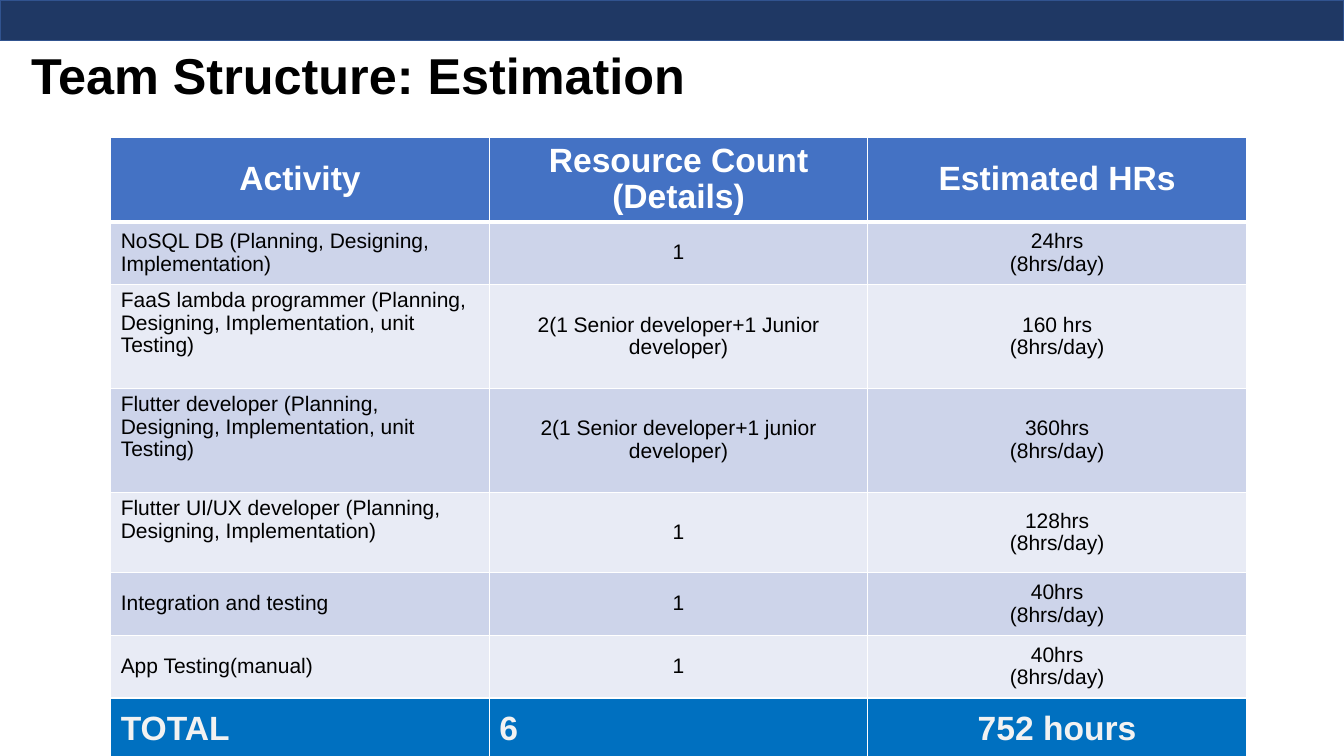
import pptx
import pptx.dml.color
import pptx.enum.shapes
import pptx.enum.text
import pptx.oxml.ns
import pptx.util
from lxml import etree

Cm = pptx.util.Cm
Pt = pptx.util.Pt
RGBColor = pptx.dml.color.RGBColor
Align = pptx.enum.text.PP_ALIGN
Anchor = pptx.enum.text.MSO_ANCHOR

NAVY = RGBColor(0x1F, 0x38, 0x64)
NAVY_EDGE = RGBColor(0x31, 0x53, 0x8F)
HEADER_BLUE = RGBColor(0x44, 0x72, 0xC4)
TOTAL_BLUE = RGBColor(0x00, 0x70, 0xC0)
BANDS = (RGBColor(0xCD, 0xD4, 0xEA), RGBColor(0xE8, 0xEB, 0xF5))
BLACK = RGBColor(0, 0, 0)
WHITE = RGBColor(0xFF, 0xFF, 0xFF)
OFF_WHITE = RGBColor(0xF2, 0xF2, 0xF2)

HEADINGS = ("Activity", "Resource Count (Details)", "Estimated HRs")
PER_DAY = "\n(8hrs/day)"
# Activity, resources, hours, row height in cm, anchor of the activity
ACTIVITIES = (
    ("NoSQL DB (Planning, Designing, Implementation)",
     "1", "24hrs", 1.58, Anchor.MIDDLE),
    ("FaaS lambda programmer (Planning, Designing, Implementation, unit Testing)",
     "2(1 Senior developer+1 Junior developer)", "160 hrs", 2.62, Anchor.TOP),
    ("Flutter developer (Planning, Designing, Implementation, unit Testing)",
     "2(1 Senior developer+1 junior developer)", "360hrs", 2.62, Anchor.TOP),
    ("Flutter UI/UX developer (Planning, Designing, Implementation)",
     "1", "128hrs", 2.02, Anchor.TOP),
    ("Integration and testing", "1", "40hrs", 1.58, Anchor.MIDDLE),
    ("App Testing(manual)", "1", "40hrs", 1.58, Anchor.MIDDLE),
)
TOTALS = ("TOTAL", "6", "752 hours")
HEADER_HEIGHT, TOTAL_HEIGHT = 2.14, 1.6


def write_text(frame, text, size=15, color=BLACK, bold=False,
               align=Align.LEFT, spacing=0.97):
    frame.word_wrap = True
    frame.text = text
    for paragraph in frame.paragraphs:
        paragraph.alignment = align
        paragraph.line_spacing = spacing
        font = paragraph.font
        for run in paragraph.runs:
            font = run.font
            font.name = "Arial"
            font.size = Pt(size)
            font.bold = bold
            font.color.rgb = color


def set_borders(cell, bottom=1):
    """Draw white cell borders; bottom is the width of the lower one in points."""
    properties = cell._tc.get_or_add_tcPr()
    widths = {"a:lnL": 1, "a:lnR": 1, "a:lnT": 1, "a:lnB": bottom}
    for position, (tag, width) in enumerate(widths.items()):
        edge = etree.Element(pptx.oxml.ns.qn(tag), w=str(Pt(width)))
        fill = etree.SubElement(edge, pptx.oxml.ns.qn("a:solidFill"))
        etree.SubElement(fill, pptx.oxml.ns.qn("a:srgbClr"), val=str(WHITE))
        properties.insert(position, edge)


def fill_cell(cell, text, fill, anchor=Anchor.MIDDLE, bottom=1, **text_format):
    cell.fill.solid()
    cell.fill.fore_color.rgb = fill
    cell.vertical_anchor = anchor
    set_borders(cell, bottom)
    write_text(cell.text_frame, text, **text_format)


def add_top_bar(slide, left, top, width, height):
    bar = slide.shapes.add_shape(pptx.enum.shapes.MSO_SHAPE.RECTANGLE,
                                 left, top, width, height)
    bar.shadow.inherit = False
    bar.fill.solid()
    bar.fill.fore_color.rgb = NAVY
    bar.line.color.rgb = NAVY_EDGE
    bar.line.width = Pt(1)


def place_title(slide, left, top, width, height):
    title = slide.shapes.title
    title.left, title.top, title.width, title.height = left, top, width, height
    frame = title.text_frame
    frame.auto_size = pptx.enum.text.MSO_AUTO_SIZE.NONE
    frame.vertical_anchor = Anchor.MIDDLE
    write_text(frame, "Team Structure: Estimation", size=36, bold=True,
               spacing=0.9)


def add_estimation_table(slide, left, top, width):
    heights = [HEADER_HEIGHT, *(row[3] for row in ACTIVITIES), TOTAL_HEIGHT]
    table = slide.shapes.add_table(len(heights), len(HEADINGS), left, top,
                                   width, Cm(sum(heights))).table
    for row, height in zip(table.rows, heights):
        row.height = Cm(height)

    for column, heading in enumerate(HEADINGS):
        fill_cell(table.cell(0, column), heading, HEADER_BLUE, bottom=3,
                  size=24, color=WHITE, bold=True, align=Align.CENTER)

    for index, (activity, resources, hours, _, anchor) in enumerate(ACTIVITIES):
        band = BANDS[index % 2]
        row = index + 1
        fill_cell(table.cell(row, 0), activity, band, anchor=anchor)
        fill_cell(table.cell(row, 1), resources, band, align=Align.CENTER)
        fill_cell(table.cell(row, 2), hours + PER_DAY, band, align=Align.CENTER)

    total_row = len(heights) - 1
    alignments = (Align.LEFT, Align.LEFT, Align.CENTER)
    for column, (total, align) in enumerate(zip(TOTALS, alignments)):
        fill_cell(table.cell(total_row, column), total, TOTAL_BLUE,
                  size=24, color=OFF_WHITE, bold=True, align=align)


def main():
    deck = pptx.Presentation()
    deck.slide_width, deck.slide_height = Cm(33.87), Cm(19.05)
    slide = deck.slides.add_slide(deck.slide_layouts.get_by_name("Title Only"))
    add_top_bar(slide, 0, 0, deck.slide_width, Cm(1.02))
    place_title(slide, Cm(0.53), Cm(1.14), Cm(29.87), Cm(1.65))
    add_estimation_table(slide, Cm(2.79), Cm(3.45), Cm(28.62))
    deck.save("out.pptx")


if __name__ == "__main__":
    main()
